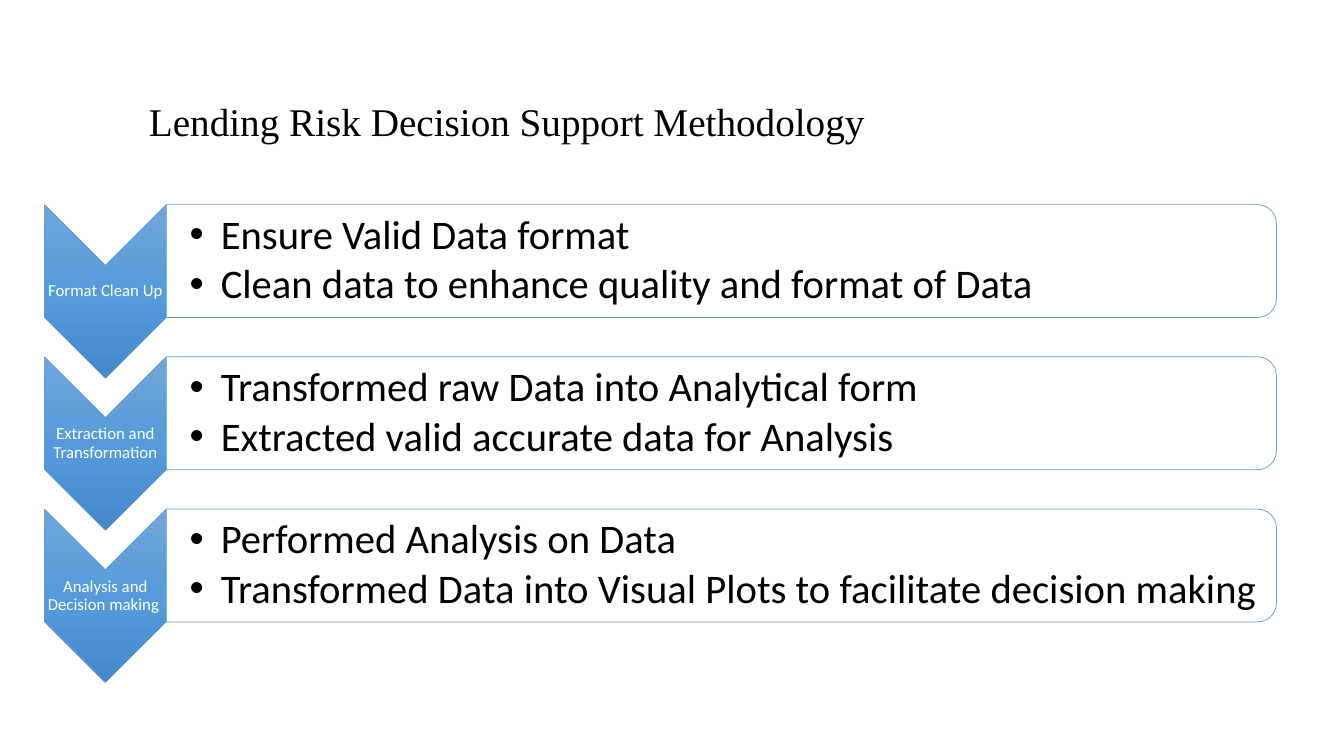
from dataclasses import dataclass

from lxml.etree import SubElement
from pptx import Presentation
from pptx.dml.color import RGBColor
from pptx.enum.shapes import MSO_SHAPE
from pptx.enum.text import MSO_ANCHOR, PP_ALIGN
from pptx.oxml import parse_xml
from pptx.oxml.ns import nsdecls, qn
from pptx.util import Inches, Pt


@dataclass(frozen=True)
class Theme:
    """Colours, fonts and type sizes of the slide."""
    white: str = "FFFFFF"
    black: str = "000000"
    outline: str = "5B9BD5"
    gradient: tuple = ((0, "71A6DB"), (50, "559BDB"), (100, "448ACA"))
    body_font: str = "Calibri"
    title_font: str = "Times New Roman"
    label_size: int = 12
    bullet_size: int = 29
    title_size: int = 28
    lead_size: int = 40


THEME = Theme()
STEPS = [
    ("Format Clean Up",
     ["Ensure Valid Data format",
      "Clean data to enhance quality and format of Data"]),
    ("Extraction and Transformation",
     ["Transformed raw Data into Analytical form",
      "Extracted valid accurate data for Analysis"]),
    ("Analysis and Decision making ",
     ["Performed Analysis on Data",
      "Transformed Data into Visual Plots to facilitate decision making"]),
]


def style_run(r, font, size, color, bold=False):
    """Format one run."""
    r.font.name, r.font.size, r.font.bold = font, Pt(size), bold
    r.font.color.rgb = RGBColor.from_string(color)


def add_text(slide, box, insets):
    """Add an empty wrapping text box, centred vertically, and return its frame."""
    tf = slide.shapes.add_textbox(*map(Inches, box)).text_frame
    tf.word_wrap = True
    tf.vertical_anchor = MSO_ANCHOR.MIDDLE
    (tf.margin_left, tf.margin_top,
     tf.margin_right, tf.margin_bottom) = map(Inches, insets)
    return tf


def add_turned_shape(slide, kind, box):
    """Add an outlined shape that fills the box after a quarter turn."""
    left, top, width, height = box
    shift = (width - height) / 2
    sp = slide.shapes.add_shape(kind, Inches(left + shift), Inches(top - shift),
                                Inches(height), Inches(width))
    sp.rotation = 90
    sp.shadow.inherit = False
    sp.line.color.rgb = RGBColor.from_string(THEME.outline)
    sp.line.width = Pt(0.5)
    return sp


def fill_gradient(sp):
    """Fill a shape from light at the top to dark at the bottom."""
    stops = "".join(f'<a:gs pos="{pos * 1000}"><a:srgbClr val="{color}"/></a:gs>'
                    for pos, color in THEME.gradient)
    grad = parse_xml(f'<a:gradFill {nsdecls("a")} rotWithShape="0"><a:gsLst>{stops}'
                     '</a:gsLst><a:lin ang="5400000" scaled="0"/></a:gradFill>')
    sp.element.spPr.find(qn("a:prstGeom")).addnext(grad)


def add_bullet(p):
    """Give a paragraph a hanging round bullet."""
    pPr = p._p.get_or_add_pPr()
    indent = Inches(0.31)
    pPr.set("marL", str(indent))
    pPr.set("indent", str(-indent))
    SubElement(pPr, qn("a:buFont")).set("typeface", "Arial")
    SubElement(pPr, qn("a:buChar")).set("char", "•")


def add_chevron(slide, box, label):
    """Draw a downward chevron with its step name."""
    left, top, width, height = box
    fill_gradient(add_turned_shape(slide, MSO_SHAPE.CHEVRON, box))
    notch = width / 2
    tf = add_text(slide, (left, top + notch, width, height - 2 * notch), [0.01] * 4)
    p = tf.paragraphs[0]
    p.text = label
    p.alignment = PP_ALIGN.CENTER
    p.line_spacing = 0.9
    style_run(p.runs[0], THEME.body_font, THEME.label_size, THEME.white)


def add_panel(slide, box, points):
    """Draw a panel rounded on the right with its bullet points."""
    left, top, width, height = box
    sp = add_turned_shape(slide, MSO_SHAPE.ROUND_2_SAME_RECTANGLE, box)
    sp.fill.solid()
    sp.fill.fore_color.rgb = RGBColor.from_string(THEME.white)
    color = sp.element.spPr.find(qn("a:solidFill")).find(qn("a:srgbClr"))
    SubElement(color, qn("a:alpha")).set("val", "90000")
    pad = 0.06
    tf = add_text(slide, (left, top + pad, width - pad, height - 2 * pad),
                  (0.23, 0.02, 0.02, 0.02))
    tf.text = "\n".join(points)
    for p in tf.paragraphs:
        p.level = 1
        p.line_spacing = 0.9
        p.space_after = Pt(4)
        add_bullet(p)
        style_run(p.runs[0], THEME.body_font, THEME.bullet_size, THEME.black)


def add_steps(slide, box, pitch):
    """Stack the steps, each a chevron beside a panel."""
    left, top, width = box
    chevron_width = 1.21
    for i, (label, points) in enumerate(STEPS):
        y = top + i * pitch
        add_chevron(slide, (left, y, chevron_width, 1.72), label)
        add_panel(slide, (left + chevron_width, y, width - chevron_width, 1.12), points)


def add_title(slide, box):
    """Write the slide title after a wide leading space."""
    p = add_text(slide, box, (0.1, 0.05, 0.1, 0.05)).paragraphs[0]
    p.line_spacing = 0.9
    for text, size, bold in ((" ", THEME.lead_size, True),
                             ("Lending Risk Decision Support Methodology",
                              THEME.title_size, False)):
        r = p.add_run()
        r.text = text
        style_run(r, THEME.title_font, size, THEME.black, bold)


def main():
    """Build and save the slide."""
    prs = Presentation()
    prs.slide_width, prs.slide_height = Inches(13.33), Inches(7.5)
    slide = prs.slides.add_slide(prs.slide_layouts[6])
    add_steps(slide, (0.44, 2.03, 12.22), 1.51)
    add_title(slide, (1.24, 0.7, 10.19, 0.94))
    prs.save("out.pptx")


if __name__ == "__main__":
    main()
